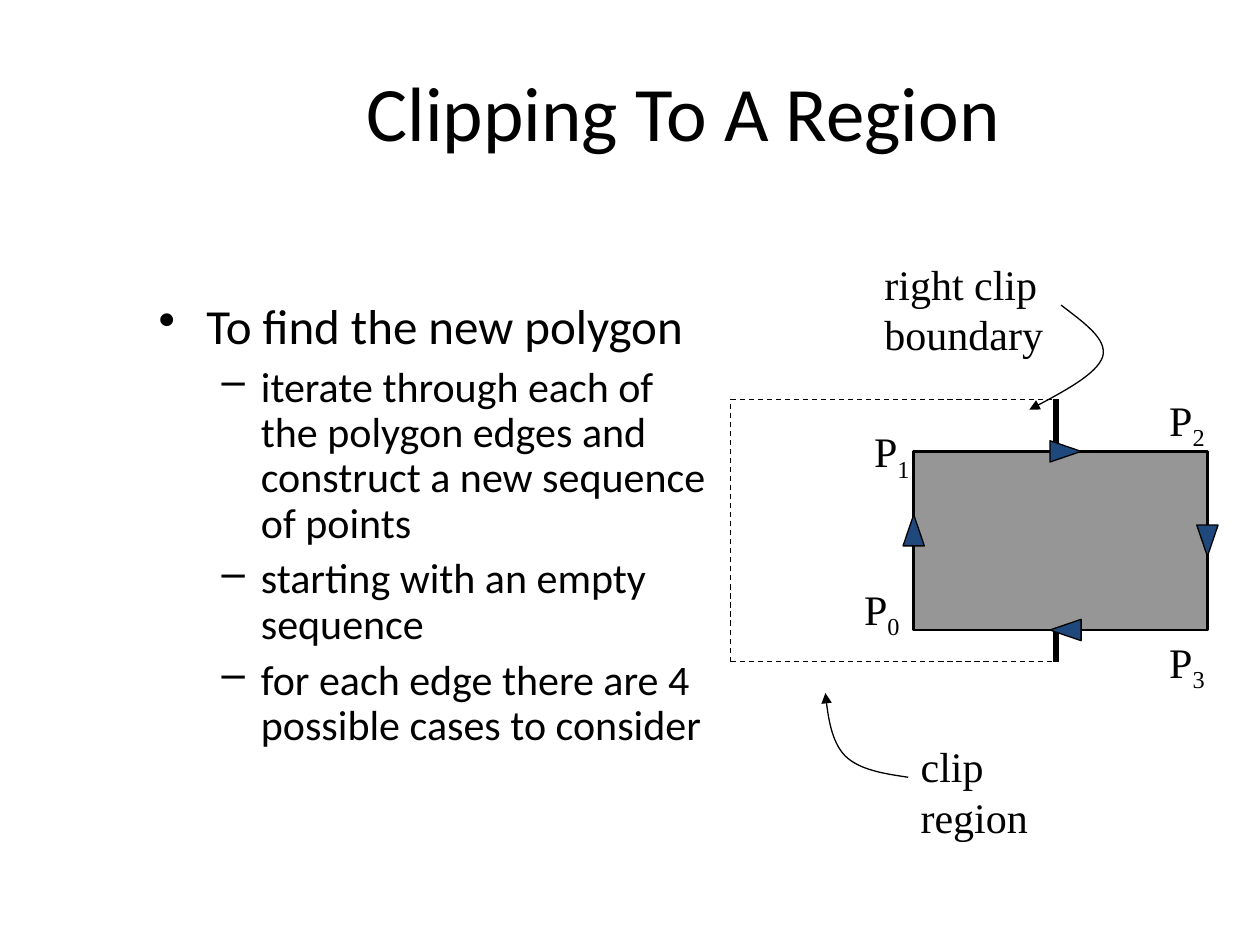
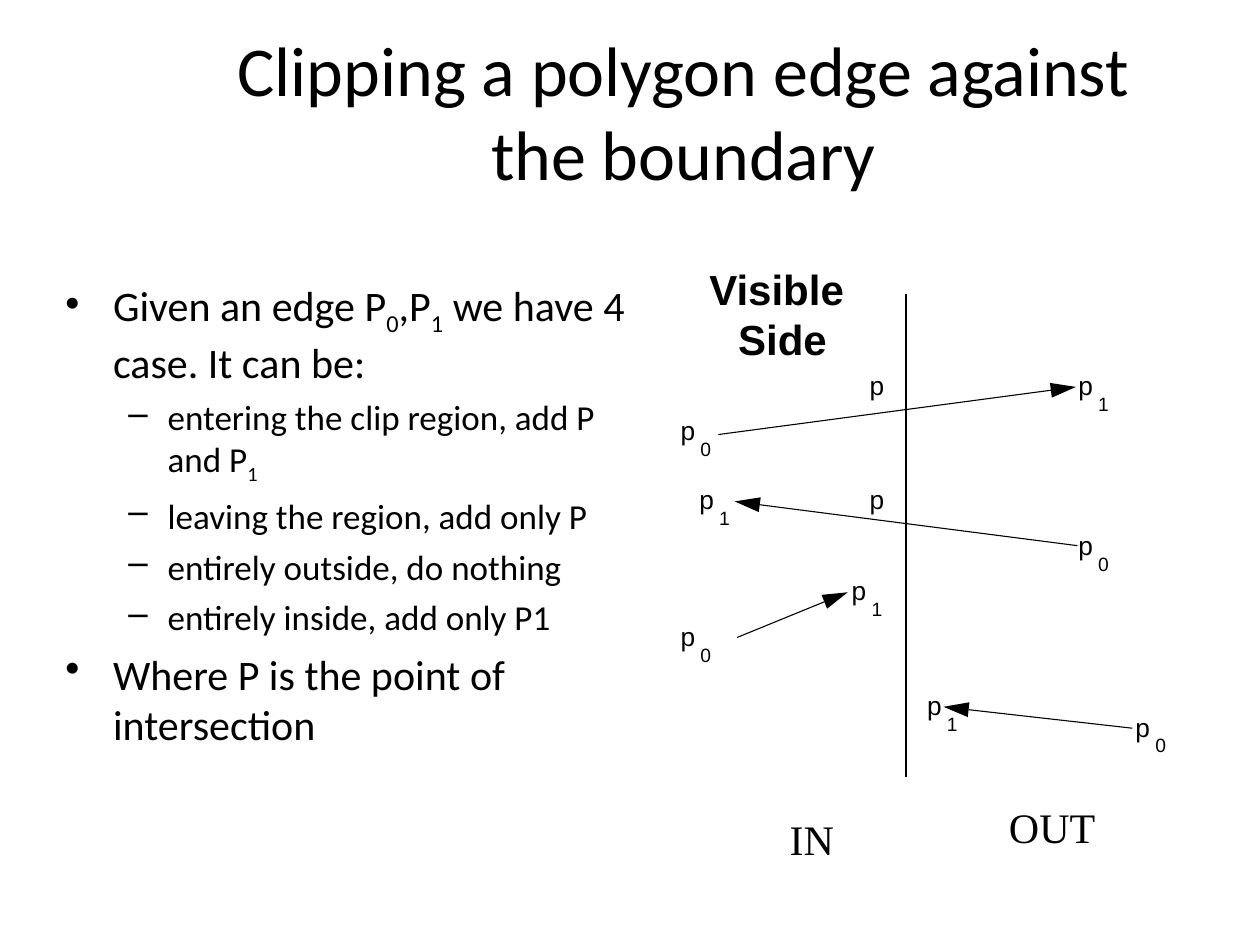
from math import hypot
from typing import NamedTuple

from lxml import etree
from pptx import Presentation
from pptx.dml.color import RGBColor
from pptx.enum.dml import MSO_LINE
from pptx.enum.shapes import MSO_CONNECTOR, MSO_SHAPE
from pptx.enum.text import MSO_ANCHOR, MSO_AUTO_SIZE, PP_ALIGN
from pptx.oxml.ns import qn
from pptx.util import Cm, Pt

LEFT, CENTER = PP_ALIGN.LEFT, PP_ALIGN.CENTER
MIDDLE = MSO_ANCHOR.MIDDLE
NO_FIT, GROW = MSO_AUTO_SIZE.NONE, MSO_AUTO_SIZE.SHAPE_TO_FIT_TEXT
DASH = MSO_LINE.DASH
STRAIGHT = MSO_CONNECTOR.STRAIGHT
RECTANGLE, TRIANGLE = MSO_SHAPE.RECTANGLE, MSO_SHAPE.ISOSCELES_TRIANGLE

COLORS = {"ink": "000000", "polygon": "969696", "marker": "1F497D"}
HEADING, SERIF, SANS = "Calibri", "Times New Roman", "Arial"

Point = tuple[float, float]


class Area(NamedTuple):
    """A rectangle in centimetres."""
    left: float
    top: float
    width: float
    height: float

    def lengths(self) -> list[int]:
        return [Cm(value) for value in self]


class Label(NamedTuple):
    text: str
    area: Area
    font: str = SERIF
    size: float = 24
    bold: bool = False
    align: PP_ALIGN = LEFT
    inset: bool = True


class Bullet(NamedTuple):
    text: str
    level: int = 0


class BulletStyle(NamedTuple):
    sign: str
    margin: float
    hanging: float


class Edge(NamedTuple):
    """A directed polygon edge with the places of its two end labels."""
    start: Point
    tip: Point
    start_label: Point
    tip_label: Point


TITLE_AREA = Area(3.91, 0.64, 19.74, 3.18)
BULLET_STYLES = [BulletStyle("•", 0.96, 0.96), BulletStyle("–", 2.06, 0.79)]

REGION_BULLETS = [
    Bullet("To find the new polygon"),
    Bullet("iterate through each of the polygon edges and construct a new sequence of points", 1),
    Bullet("starting with an empty sequence", 1),
    Bullet("for each edge there are 4 possible cases to consider", 1),
]
CLIP_REGION = Area(14.73, 8.05, 6.56, 5.29)
POLYGON = Area(18.42, 9.1, 5.92, 3.6)
MARKER_WIDTH, MARKER_HEIGHT = 0.43, 0.63
REGION_LABELS = [
    Label("clip\nregion", Area(18.31, 14.81, 2.67, 2.29)),
    Label("right clip\nboundary", Area(17.58, 5.08, 3.71, 2.29)),
    *(Label(name, Area(left, top, 1.22, 1.42)) for name, left, top in [
        ("P_0", 17.17, 11.63), ("P_1", 17.37, 8.46),
        ("P_2", 23.32, 7.82), ("P_3", 23.32, 12.7)]),
]
POINTER_CURVES: list[list[Point]] = [
    [(18.31, 15.67), (17.83, 15.6), (17.32, 15.52), (17.04, 15.24),
     (16.76, 14.96), (16.69, 14.45), (16.64, 13.97)],
    [(21.39, 6.15), (21.84, 6.5), (22.33, 6.83), (22.23, 7.19),
     (22.12, 7.54), (21.44, 7.9), (20.75, 8.26)],
]

EDGE_BULLETS = [
    Bullet("Given an edge P_0,P_1 we have 4 case. It can be:"),
    Bullet("entering the clip region, add P and P_1", 1),
    Bullet("leaving the region, add only P", 1),
    Bullet("entirely outside, do nothing", 1),
    Bullet("entirely inside, add only P1", 1),
    Bullet("Where P is the point of intersection"),
]
BOUNDARY_X = 18.26
EDGES = [
    Edge((14.48, 8.76), (21.69, 7.8), (13.72, 8.36), (21.74, 7.44)),
    Edge((21.72, 11), (14.81, 10.11), (21.74, 10.67), (14.1, 9.75)),
    Edge((14.86, 12.85), (17.09, 11.94), (13.72, 12.5), (17.17, 11.58)),
    Edge((22.83, 14.68), (19.02, 14.25), (22.89, 14.33), (18.69, 13.89)),
]
CROSSINGS: list[Point] = [(17.53, 7.44), (17.53, 9.75)]
HEAD_LENGTH, HEAD_WIDTH = 0.51, 0.3
SIDE_LABELS = [
    Label("OUT", Area(20.09, 16.03, 2.24, 1.27)),
    Label("IN", Area(15.67, 16.28, 1.4, 1.27)),
    Label("Visible \nSide", Area(14.05, 5.18, 3.45, 2.29), SANS, bold=True, align=CENTER),
]


def color(name: str) -> RGBColor:
    return RGBColor.from_string(COLORS[name])


def add_text(paragraph, text: str, *, font: str, size: float, bold: bool = False,
             align: PP_ALIGN | None = None) -> None:
    """Write text; the character after each underscore becomes a subscript."""
    if align is not None:
        paragraph.alignment = align
    first, *rest = text.split("_")
    pieces = [(first, False)]
    for part in rest:
        pieces += [(part[0], True), (part[1:], False)]
    for piece, lowered in pieces:
        if not piece:
            continue
        span = paragraph.add_run()
        span.text = piece
        span.font.name, span.font.size, span.font.bold = font, Pt(size), bold
        span.font.color.rgb = color("ink")
        if lowered:
            span._r.get_or_add_rPr().set("baseline", "-25000")


def next_paragraph(frame, index: int):
    return frame.add_paragraph() if index else frame.paragraphs[0]


def add_label(page, label: Label) -> None:
    frame = page.shapes.add_textbox(*label.area.lengths()).text_frame
    frame.word_wrap, frame.auto_size = False, GROW
    if not label.inset:
        frame.margin_left = frame.margin_right = frame.margin_top = frame.margin_bottom = 0
    for index, line in enumerate(label.text.split("\n")):
        add_text(next_paragraph(frame, index), line, font=label.font, size=label.size,
                 bold=label.bold, align=label.align)


def add_titled_page(deck, title: str, size: float):
    page = deck.slides.add_slide(deck.slide_layouts[5])
    box = page.shapes.title
    box.left, box.top, box.width, box.height = TITLE_AREA.lengths()
    frame = box.text_frame
    frame.auto_size, frame.vertical_anchor, frame.word_wrap = NO_FIT, MIDDLE, True
    add_text(frame.paragraphs[0], title, font=HEADING, size=size, align=CENTER)
    return page


def add_bullets(page, area: Area, bullets: list[Bullet], *, sizes: tuple[float, float],
                gaps: tuple[float, float], line_spacing: float = 1.0) -> None:
    frame = page.shapes.add_textbox(*area.lengths()).text_frame
    frame.word_wrap = True
    for index, bullet in enumerate(bullets):
        paragraph = next_paragraph(frame, index)
        paragraph.level = bullet.level
        paragraph.line_spacing = line_spacing
        paragraph.space_before = Pt(gaps[bullet.level] if index else 0)
        style = BULLET_STYLES[bullet.level]
        properties = paragraph._p.get_or_add_pPr()
        properties.set("marL", str(Cm(style.margin)))
        properties.set("indent", str(-Cm(style.hanging)))
        etree.SubElement(properties, qn("a:buChar")).set("char", style.sign)
        add_text(paragraph, bullet.text, font=HEADING, size=sizes[bullet.level])


def add_line(page, start: Point, end: Point, width: float, dash: MSO_LINE | None = None) -> None:
    ends = [Cm(value) for value in (*start, *end)]
    line = page.shapes.add_connector(STRAIGHT, *ends)
    line.line.color.rgb, line.line.width = color("ink"), Pt(width)
    if dash is not None:
        line.line.dash_style = dash
    etree.SubElement(line._element.spPr, qn("a:effectLst"))


def add_outline(page, points: list[Point], closed: bool):
    start, *rest = [(Cm(x), Cm(y)) for x, y in points]
    builder = page.shapes.build_freeform(*start)
    builder.add_line_segments(rest, close=closed)
    outline = builder.convert_to_shape()
    outline.shadow.inherit = False
    return outline


def add_filled(page, kind: MSO_SHAPE, area: Area, fill: str, width: float):
    shape = page.shapes.add_shape(kind, *area.lengths())
    shape.shadow.inherit = False
    shape.fill.solid()
    shape.fill.fore_color.rgb = color(fill)
    shape.line.color.rgb, shape.line.width = color("ink"), Pt(width)
    return shape


def curve_points(controls: list[Point], steps: int = 16) -> list[Point]:
    """Sample a chain of cubic Bézier segments that share their end points."""
    points = [controls[0]]
    for first in range(0, len(controls) - 1, 3):
        segment = controls[first:first + 4]
        for step in range(1, steps + 1):
            t = step / steps
            weights = ((1 - t) ** 3, 3 * t * (1 - t) ** 2, 3 * t * t * (1 - t), t ** 3)
            points.append((sum(w * x for w, (x, _) in zip(weights, segment)),
                           sum(w * y for w, (_, y) in zip(weights, segment))))
    return points


def add_pointer(page, controls: list[Point]) -> None:
    pointer = add_outline(page, curve_points(controls), closed=False)
    pointer.fill.background()
    pointer.line.color.rgb, pointer.line.width = color("ink"), Pt(0.75)
    etree.SubElement(pointer.line._get_or_add_ln(), qn("a:tailEnd")).set("type", "triangle")


def add_marker(page, center: Point, rotation: float) -> None:
    area = Area(center[0] - MARKER_WIDTH / 2, center[1] - MARKER_HEIGHT / 2,
                MARKER_WIDTH, MARKER_HEIGHT)
    add_filled(page, TRIANGLE, area, "marker", 0.75).rotation = rotation


def add_point_name(page, place: Point, digit: str = "") -> None:
    x, y = place
    add_label(page, Label("p", Area(x, y, 0.33, 0.64), SANS, 15, inset=False))
    if digit:
        add_label(page, Label(digit, Area(x + 0.4, y + 0.46, 0.23, 0.46), SANS, 11, inset=False))


def add_edge(page, edge: Edge) -> None:
    (x, y), (tip_x, tip_y) = edge.start, edge.tip
    length = hypot(tip_x - x, tip_y - y)
    across, down = (tip_x - x) / length, (tip_y - y) / length
    base_x, base_y = tip_x - HEAD_LENGTH * across, tip_y - HEAD_LENGTH * down
    side_x, side_y = -down * HEAD_WIDTH / 2, across * HEAD_WIDTH / 2
    add_line(page, edge.start, (base_x, base_y), 0.62)
    corners = [edge.tip, (base_x + side_x, base_y + side_y), (base_x - side_x, base_y - side_y)]
    head = add_outline(page, corners, closed=True)
    head.fill.solid()
    head.fill.fore_color.rgb = color("ink")
    head.line.fill.background()
    add_point_name(page, edge.start_label, "0")
    add_point_name(page, edge.tip_label, "1")


def build_region_page(deck) -> None:
    page = add_titled_page(deck, "Clipping To A Region", 44)
    add_bullets(page, Area(2.95, 5.97, 11.63, 11.43), REGION_BULLETS,
                sizes=(28, 24), gaps=(7, 6), line_spacing=0.9)

    left, top, width, height = CLIP_REGION
    right, bottom = left + width, top + height
    add_line(page, (left, bottom), (right, bottom), 0.75, DASH)
    add_line(page, (left, top), (right, top), 0.75, DASH)
    add_line(page, (left, bottom), (left, top), 0.75, DASH)
    add_line(page, (right, bottom), (right, top), 3)
    for controls in POINTER_CURVES:
        add_pointer(page, controls)

    add_filled(page, RECTANGLE, POLYGON, "polygon", 1.5)
    left, top, width, height = POLYGON
    add_marker(page, (left, 10.69), 0)
    add_marker(page, (left + width, 10.9), 180)
    add_marker(page, (21.48, top), 90)
    add_marker(page, (21.48, top + height), 270)
    for label in REGION_LABELS:
        add_label(page, label)


def build_edge_page(deck) -> None:
    page = add_titled_page(deck, "Clipping a polygon edge against the boundary", 40)
    add_bullets(page, Area(1.07, 5.51, 12.27, 11.43), EDGE_BULLETS,
                sizes=(24, 20), gaps=(6, 5))
    add_line(page, (BOUNDARY_X, 5.92), (BOUNDARY_X, 15.67), 1.25)
    for edge in EDGES:
        add_edge(page, edge)
    for crossing in CROSSINGS:
        add_point_name(page, crossing)
    for label in SIDE_LABELS:
        add_label(page, label)


def main() -> None:
    deck = Presentation()
    deck.slide_width, deck.slide_height = Cm(25.4), Cm(19.05)
    build_region_page(deck)
    build_edge_page(deck)
    deck.save("out.pptx")


if __name__ == "__main__":
    main()
